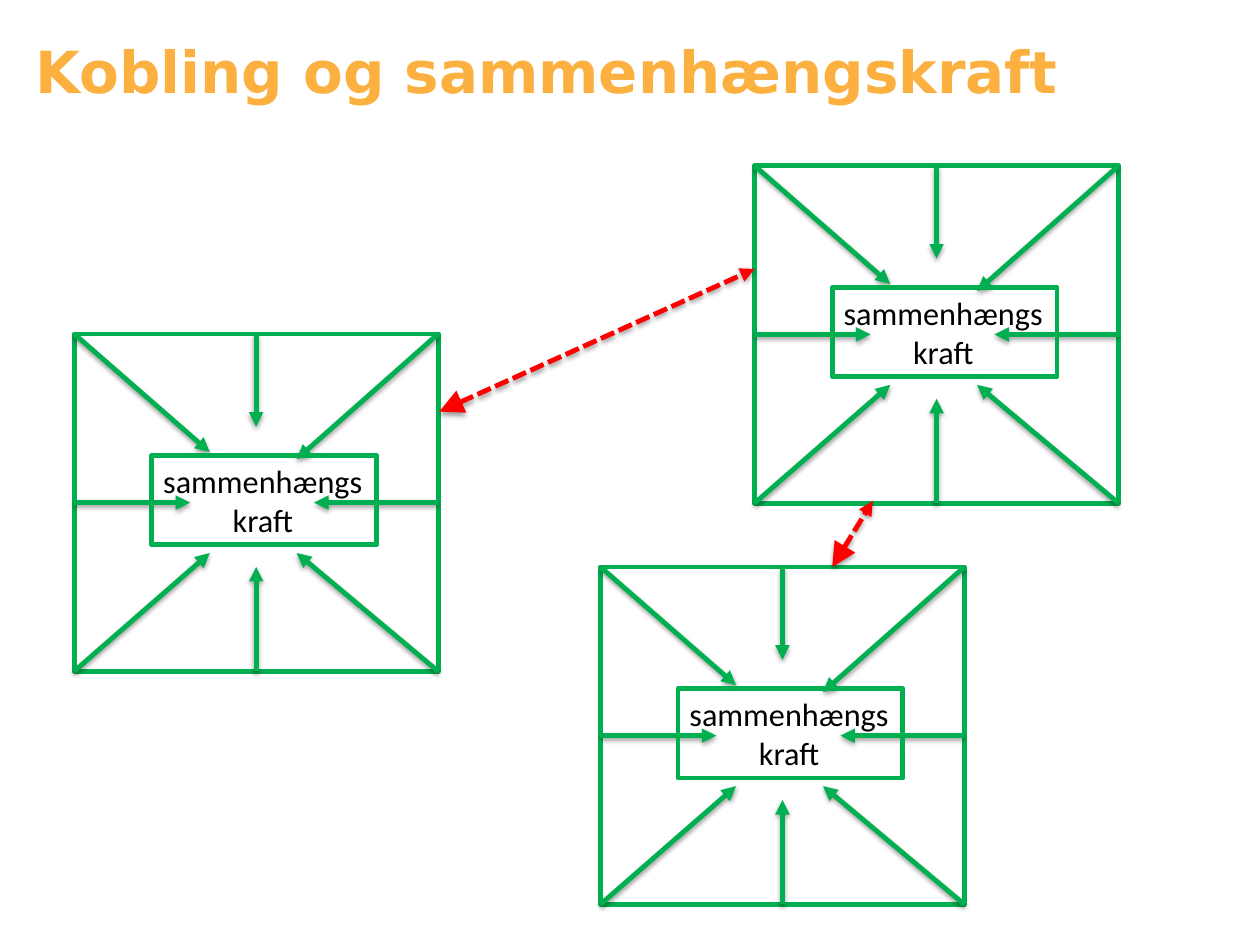
from dataclasses import dataclass

from lxml.etree import SubElement
from pptx import Presentation
from pptx.dml.color import RGBColor
from pptx.enum.dml import MSO_LINE
from pptx.enum.shapes import MSO_CONNECTOR, MSO_SHAPE
from pptx.enum.text import MSO_ANCHOR, MSO_AUTO_SIZE, PP_ALIGN
from pptx.oxml.ns import qn
from pptx.shapes.connector import Connector
from pptx.text.text import _Paragraph as Paragraph
from pptx.util import Inches, Pt

GREEN, RED, ORANGE, BLACK, WHITE = "00B050", "FF0000", "FBB040", "000000", "FFFFFF"
LINE_WIDTH = Pt(3)
MODULE_WIDTH, MODULE_HEIGHT = 3.14, 2.91


@dataclass(frozen=True)
class Point:
    x: float
    y: float

    def shifted(self, offset: "Point") -> "Point":
        return Point(self.x + offset.x, self.y + offset.y)


@dataclass(frozen=True)
class Arrow:
    start: Point
    end: Point


MODULES = [Point(0.64, 2.88), Point(6.51, 1.43), Point(5.18, 4.89)]

# Arrows from the edges and corners of a module towards its centre
MIDDLE_X, MIDDLE_Y = MODULE_WIDTH / 2, MODULE_HEIGHT / 2
COHESION_ARROWS = [
    Arrow(Point(MIDDLE_X, 0), Point(MIDDLE_X, 0.8)),
    Arrow(Point(0, MIDDLE_Y), Point(1, MIDDLE_Y)),
    Arrow(Point(MIDDLE_X, MODULE_HEIGHT), Point(MIDDLE_X, 2.01)),
    Arrow(Point(MODULE_WIDTH, MIDDLE_Y), Point(2.07, MIDDLE_Y)),
    Arrow(Point(0, 0), Point(1.17, 1.02)),
    Arrow(Point(0, MODULE_HEIGHT), Point(1.17, 1.89)),
    Arrow(Point(MODULE_WIDTH, MODULE_HEIGHT), Point(1.92, 1.89)),
    Arrow(Point(MODULE_WIDTH, 0), Point(1.92, 1.08)),
]
COUPLING_ARROWS = [
    Arrow(Point(3.79, 3.55), Point(6.51, 2.32)),
    Arrow(Point(7.18, 4.89), Point(7.53, 4.32)),
]


def color(value: str) -> RGBColor:
    return RGBColor.from_string(value)


def add_span(para: Paragraph, text: str, font: str, size: int, fill: str, bold: bool = False) -> None:
    span = para.add_run()
    span.text = text
    span.font.name = font
    span.font.size = Pt(size)
    span.font.bold = bold
    span.font.color.rgb = color(fill)


def add_shadow(line: Connector) -> None:
    effects = SubElement(line._element.spPr, qn("a:effectLst"))
    shadow = SubElement(effects, qn("a:outerShdw"), blurRad=str(Pt(3.1)),
                        dist=str(Pt(1.6)), dir="5400000", rotWithShape="0")
    shade = SubElement(shadow, qn("a:srgbClr"), val=BLACK)
    SubElement(shade, qn("a:alpha"), val="38000")


def add_arrow(shapes, arrow: Arrow, stroke: str, coupling: bool = False) -> None:
    line = shapes.add_connector(
        MSO_CONNECTOR.STRAIGHT, Inches(arrow.start.x), Inches(arrow.start.y),
        Inches(arrow.end.x), Inches(arrow.end.y))
    line.line.width = LINE_WIDTH
    line.line.color.rgb = color(stroke)
    outline = line.line._get_or_add_ln()
    if coupling:
        line.line.dash_style = MSO_LINE.SQUARE_DOT
        SubElement(outline, qn("a:headEnd"), type="triangle", w="lg", len="lg")
    SubElement(outline, qn("a:tailEnd"), type="triangle")
    add_shadow(line)


def add_module(page, corner: Point) -> None:
    shapes = page.shapes.add_group_shape().shapes

    # Frame
    frame = shapes.add_shape(MSO_SHAPE.RECTANGLE, Inches(corner.x), Inches(corner.y),
                             Inches(MODULE_WIDTH), Inches(MODULE_HEIGHT))
    frame.shadow.inherit = False
    frame.fill.solid()
    frame.fill.fore_color.rgb = color(WHITE)
    frame.line.color.rgb = color(GREEN)
    frame.line.width = LINE_WIDTH

    # Inward arrows
    for arrow in COHESION_ARROWS:
        add_arrow(shapes, Arrow(arrow.start.shifted(corner), arrow.end.shifted(corner)), GREEN)

    # Label
    place = corner.shifted(Point(0.67, 1.05))
    label = shapes.add_textbox(Inches(place.x), Inches(place.y), Inches(1.94), Inches(0.77))
    label.line.color.rgb = color(GREEN)
    label.line.width = LINE_WIDTH
    frame_text = label.text_frame
    frame_text.word_wrap = False
    frame_text.auto_size = MSO_AUTO_SIZE.SHAPE_TO_FIT_TEXT
    add_span(frame_text.paragraphs[0], "sammenhængs", "Calibri", 20, BLACK)
    para = frame_text.add_paragraph()
    para.alignment = PP_ALIGN.CENTER
    add_span(para, "kraft", "Calibri", 20, BLACK)


def add_title(page) -> None:
    box = page.shapes.add_textbox(Inches(0.21), Inches(0.23), Inches(10.5), Inches(0.68))
    box.text_frame.word_wrap = True
    box.text_frame.vertical_anchor = MSO_ANCHOR.TOP
    box.text_frame.margin_top = Inches(0.08)
    add_span(box.text_frame.paragraphs[0], "Kobling og sammenhængskraft",
             "DejaVu Sans", 36, ORANGE, bold=True)


def main() -> None:
    deck = Presentation()
    deck.slide_width, deck.slide_height = Inches(10.87), Inches(8.15)
    page = deck.slides.add_slide(deck.slide_layouts[6])

    add_title(page)
    for corner in MODULES:
        add_module(page, corner)

    # Couplings between modules
    for arrow in COUPLING_ARROWS:
        add_arrow(page.shapes, arrow, RED, coupling=True)

    deck.save("out.pptx")


if __name__ == "__main__":
    main()
